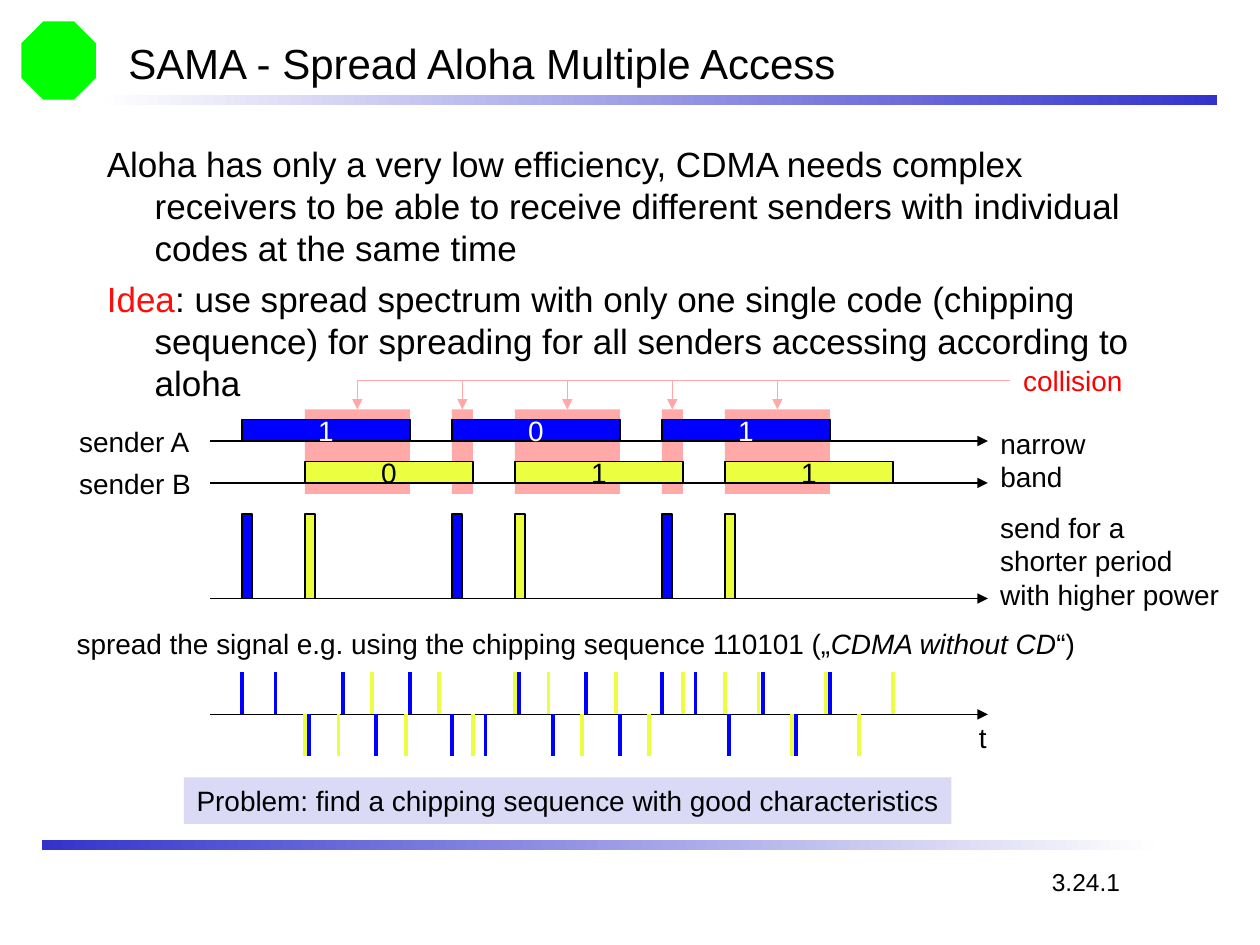
from pptx import Presentation
from pptx.dml.color import RGBColor
from pptx.enum.shapes import MSO_CONNECTOR as Connector, MSO_SHAPE as Shape
from pptx.enum.text import MSO_ANCHOR as Anchor, MSO_AUTO_SIZE as AutoSize, PP_ALIGN as Align
from pptx.oxml.ns import qn
from pptx.util import Inches, Pt
from lxml import etree

COLORS = {
    "black": "000000", "white": "FFFFFF", "rule": "3333CC", "fade": "FEFEFE",
    "idea": "FF0D0D", "alert": "FF0000", "collision": "FFA9A9", "a": "0000FF",
    "b": "ECFE40", "note": "DADAF6", "badge": "00FF00",
}
PERIOD = 5 / 3
BIT_WIDTH = 4 / 3
CHIP_CODE = "110101"
CHIP_GAP = BIT_WIDTH / (len(CHIP_CODE) - 1)
AXIS_LEFT, AXIS_LENGTH = 1.67, 6.17
SENDERS = [("a", "101", 1.92, "white"), ("b", "011", 2.42, "black")]


def color(name):
    return RGBColor.from_string(COLORS[name])


def bit_starts(first):
    return [first + index * PERIOD for index in range(3)]


def style_span(span, size, name="black", italic=None):
    span.font.name = "Arial"
    span.font.size = Pt(size)
    span.font.color.rgb = color(name)
    span.font.italic = italic


def add_box(page, left, top, width, height, fill, outlined=False, shape=Shape.RECTANGLE):
    box = page.shapes.add_shape(shape, Inches(left), Inches(top), Inches(width), Inches(height))
    box.shadow.inherit = False
    box.fill.solid()
    box.fill.fore_color.rgb = color(fill)
    if outlined:
        box.line.color.rgb = color("black")
        box.line.width = Pt(0.75)
    else:
        box.line.fill.background()
    return box


def fill_text(box, text, size=16, name="black", align=Align.LEFT, anchor=Anchor.MIDDLE, wrap=False):
    frame = box.text_frame
    frame.text = text
    frame.word_wrap = wrap
    frame.vertical_anchor = anchor
    for para in frame.paragraphs:
        para.alignment = align
        for span in para.runs:
            style_span(span, size, name)
    return frame


def add_label(page, left, top, width, height, text, **options):
    box = page.shapes.add_textbox(Inches(left), Inches(top), Inches(width), Inches(height))
    frame = fill_text(box, text, **options)
    if not frame.word_wrap:
        frame.auto_size = AutoSize.SHAPE_TO_FIT_TEXT
    return frame


def add_line(shapes, start, end, name, width=0.75, arrow=False, kind=Connector.STRAIGHT):
    points = [Inches(value) for value in (*start, *end)]
    line = shapes.add_connector(kind, *points)
    line.line.color.rgb = color(name)
    line.line.width = Pt(width)
    properties = line.element.spPr
    if arrow:
        etree.SubElement(properties.find(qn("a:ln")), qn("a:tailEnd"), type="triangle")
    etree.SubElement(properties, qn("a:effectLst"))
    return line


def add_axis(page, left, top, length):
    add_line(page.shapes, (left, top), (left + length, top), "black", arrow=True)


def add_rule(page, left, top, width, height, stops):
    rule = add_box(page, left, top, width, height, "rule")
    rule.fill.gradient()
    rule.fill.gradient_angle = 180
    for stop, name, position in zip(rule.fill.gradient_stops, stops, (0, 1)):
        stop.color.rgb = color(name)
        stop.position = position


def add_header(page, left, top):
    add_box(page, left, top, 0.59, 0.62, "badge", shape=Shape.OCTAGON)
    add_rule(page, left + 0.66, top + 0.58, 8.83, 0.08, ("rule", "fade"))
    add_label(page, left + 0.75, top + 0.08, 8.5, 0.5,
              "SAMA - Spread Aloha Multiple Access", size=24, wrap=True)


def add_footer(page, left, top):
    add_rule(page, left, top, 8.83, 0.08, ("fade", "rule"))
    add_label(page, left + 7.92, top + 0.16, 0.74, 0.34, "3.24.1", size=14, anchor=Anchor.TOP)


def add_body(page, left, top, width, height):
    frame = add_label(
        page, left, top, width, height,
        "Aloha has only a very low efficiency, CDMA needs complex receivers to be able to "
        "receive different senders with individual codes at the same time\n"
        "Idea",
        size=20, anchor=Anchor.TOP, wrap=True)
    idea = frame.paragraphs[1]
    idea.space_before = Pt(5)
    idea.runs[0].font.color.rgb = color("idea")
    rest = idea.add_run()
    rest.text = (": use spread spectrum with only one single code (chipping sequence) for "
                 "spreading for all senders accessing according to aloha")
    style_span(rest, 20)
    for para in frame.paragraphs:
        indent = para._p.get_or_add_pPr()
        indent.set("marL", str(Inches(0.38)))
        indent.set("indent", str(Inches(-0.38)))


def add_collisions(page, top):
    source = (8.02, top - 0.23)
    add_label(page, source[0], top - 0.42, 0.99, 0.37, "collision", name="alert", align=Align.CENTER)
    starts_a, starts_b = (bit_starts(first) for _, _, first, _ in SENDERS)
    for start_a in starts_a:
        for start_b in starts_b:
            left = max(start_a, start_b)
            width = min(start_a, start_b) + BIT_WIDTH - left
            if width > 0:
                add_box(page, left, top, width, 0.67, "collision")
                arrow = add_line(page.shapes, source, (left + width / 2, top), "collision",
                                 arrow=True, kind=Connector.ELBOW)
                arrow.element.spPr.find(qn("a:prstGeom")).set("prst", "bentConnector2")


def add_narrow_band(page, left, top):
    for row, (sender, bits, first, ink) in enumerate(SENDERS):
        row_top = top + row / 3
        add_axis(page, left, row_top + 0.17, AXIS_LENGTH)
        add_label(page, left - 1.14, row_top - 0.01, 1.09, 0.37, f"sender {sender.upper()}")
        for bit, start in zip(bits, bit_starts(first)):
            box = add_box(page, start, row_top, BIT_WIDTH, 0.17, sender, outlined=True)
            fill_text(box, bit, name=ink, align=Align.CENTER)
    add_label(page, left + AXIS_LENGTH, top, 0.88, 0.64, "narrow\vband")


def add_short_pulses(page, left, top):
    add_axis(page, left, top + 0.67, AXIS_LENGTH)
    for sender, _, first, _ in SENDERS:
        for start in bit_starts(first):
            add_box(page, start, top, 0.08, 0.67, sender, outlined=True)
    add_label(page, left + AXIS_LENGTH, top - 0.08, 1.94, 0.9,
              "send for a\nshorter period\nwith higher power")


def add_spread_signal(page, left, axis):
    frame = add_label(page, left - 1.16, axis - 0.75, 8.15, 0.37,
                      "spread the signal e.g. using the chipping sequence 110101 („")
    for text, italic in (("CDMA without CD", True), ("“)", False)):
        span = frame.paragraphs[0].add_run()
        span.text = text
        style_span(span, 16, italic=italic)
    add_axis(page, left, axis, AXIS_LENGTH)
    add_label(page, left + 6, axis, 0.26, 0.37, "t", align=Align.CENTER)
    for sender, bits, first, _ in SENDERS:
        for bit, start in zip(bits, bit_starts(first)):
            chips = page.shapes.add_group_shape()
            for index, chip in enumerate(CHIP_CODE):
                x = start + index * CHIP_GAP
                tip = axis - 1 / 3 if chip == bit else axis + 1 / 3
                add_line(chips.shapes, (x, axis), (x, tip), sender, width=2.25)


def add_problem(page, left, top, width, height):
    box = add_box(page, left, top, width, height, "note")
    fill_text(box, "Problem: find a chipping sequence with good characteristics", align=Align.CENTER)


def main():
    deck = Presentation()
    deck.slide_width, deck.slide_height = Inches(10), Inches(7.5)
    page = deck.slides.add_slide(deck.slide_layouts[6])
    add_header(page, 0.17, 0.17)
    add_footer(page, 0.33, 6.67)
    add_body(page, 0.75, 1.08, 8.5, 5.58)
    add_collisions(page, 3.25)
    add_narrow_band(page, AXIS_LEFT, 3.33)
    add_short_pulses(page, AXIS_LEFT, 4.08)
    add_spread_signal(page, AXIS_LEFT, 5.67)
    add_problem(page, 1.46, 6.17, 6.09, 0.37)
    deck.save("out.pptx")


if __name__ == "__main__":
    main()
